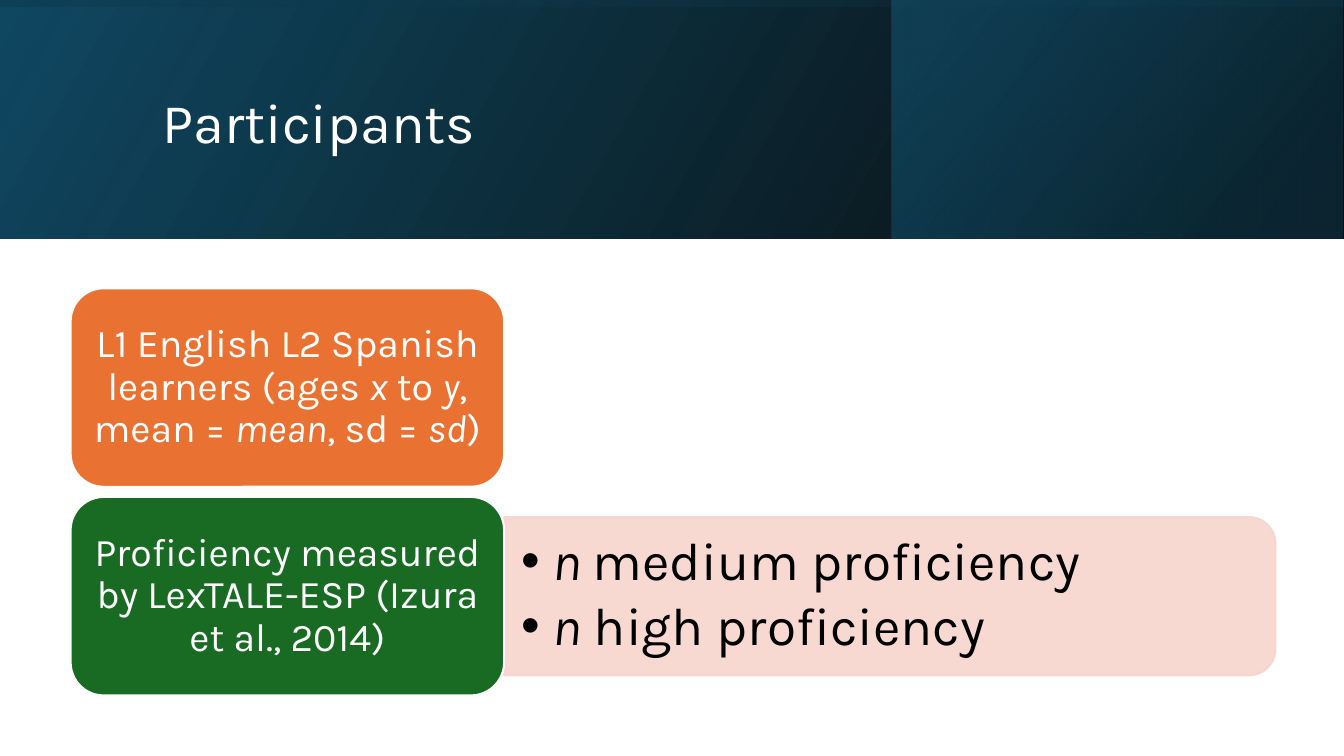
"""Build the Participants slide: a gradient header, two cards and a bullet list."""
from dataclasses import dataclass
from typing import NamedTuple

from lxml import etree
from pptx import Presentation
from pptx.dml.color import RGBColor
from pptx.enum.shapes import MSO_SHAPE
from pptx.enum.text import MSO_ANCHOR, MSO_AUTO_SIZE, PP_ALIGN
from pptx.oxml.ns import qn
from pptx.util import Inches, Pt

RECTANGLE = MSO_SHAPE.RECTANGLE
ROUNDED = MSO_SHAPE.ROUNDED_RECTANGLE
ROUNDED_END = MSO_SHAPE.ROUND_2_SAME_RECTANGLE
MIDDLE = MSO_ANCHOR.MIDDLE
FIXED_SIZE = MSO_AUTO_SIZE.NONE
LEFT, CENTER = PP_ALIGN.LEFT, PP_ALIGN.CENTER

SLIDE_WIDTH, SLIDE_HEIGHT = Inches(13.33), Inches(7.5)
FONT = "Karla"
COLORS = {
    "black": "000000",
    "white": "FFFFFF",
    "navy": "104862",
    "deep": "0B3041",
    "teal": "156082",
    "orange": "E97132",
    "green": "196B24",
    "pink": "F7D5CE",
}


class Area(NamedTuple):
    """Percentages of the slide's width and height."""
    left: float
    top: float
    width: float
    height: float


class Stop(NamedTuple):
    """One gradient stop, with position and opacity in percent."""
    position: int
    color: str
    opacity: int


class Span(NamedTuple):
    """A piece of text in one style."""
    text: str
    italic: bool = False


@dataclass(frozen=True)
class Band:
    """A gradient layer of the header."""
    area: Area
    angle: int
    stops: tuple[Stop, Stop]
    rotation: int = 0


@dataclass(frozen=True)
class Card:
    """A coloured card with centred text."""
    color: str
    spans: tuple[Span, ...]


@dataclass(frozen=True)
class TextStyle:
    """Format of a block of text."""
    size: int
    color: str
    alignment: PP_ALIGN
    margins: tuple[float, float]
    space_after: float = 0


HEADER = Area(0, 0, 100, 31.6)
BANDS = (
    Band(HEADER, 30, (Stop(0, "black", 96), Stop(100, "navy", 100))),
    Band(Area(66.32, 0, 33.6, 31.6), 40, (Stop(19, "deep", 68), Stop(100, "teal", 48))),
    Band(HEADER, 10, (Stop(23, "navy", 16), Stop(99, "black", 45)), 270),
)
CARD_AREA = Area(5.25, 38.13, 32.26, 26.27)
CARD_PITCH = 27.6
CARDS = (
    Card("orange", (
        Span("L1 English L2 Spanish learners (ages "), Span("x", True), Span(" to "),
        Span("y", True), Span(", mean = "), Span("mean", True), Span(", sd = "),
        Span("sd", True), Span(")"),
    )),
    Card("green", (Span("Proficiency measured by LexTALE-ESP (Izura et al., 2014)"),)),
)
TITLE_AREA = Area(11.33, 5.07, 79.74, 22.93)
PANEL_AREA = Area(37.5, 68.4, 57.4, 20.93)
LIST_AREA = Area(37.58, 69.33, 56.79, 18.93)
LEVELS = (
    (Span("n ", True), Span("medium proficiency")),
    (Span("n", True), Span(" high proficiency")),
)
TITLE_STYLE = TextStyle(40, "white", LEFT, (0.1, 0.05))
CARD_STYLE = TextStyle(28, "white", CENTER, (0.12, 0.06))
LIST_STYLE = TextStyle(38, "black", LEFT, (0.16, 0.08), 5.7)


def rgb(name: str) -> RGBColor:
    """Look up a named colour."""
    return RGBColor.from_string(COLORS[name])


def apply(target, **values) -> None:
    """Set attributes from format values."""
    for name, value in values.items():
        setattr(target, name, value)


def place(box, area: Area, rotation: int = 0) -> None:
    """Place a box so that it covers an area once it is turned."""
    left, width = (int(SLIDE_WIDTH * share / 100) for share in (area.left, area.width))
    top, height = (int(SLIDE_HEIGHT * share / 100) for share in (area.top, area.height))
    if rotation % 180:
        shift = (width - height) // 2
        left, top, width, height = left + shift, top - shift, height, width
    apply(box, left=left, top=top, width=width, height=height)
    if rotation:
        box.rotation = rotation


def add_box(page, kind: MSO_SHAPE, area: Area, rotation: int = 0):
    """Add a shape without a shadow."""
    box = page.shapes.add_shape(kind, 0, 0, 0, 0)
    place(box, area, rotation)
    box.shadow.inherit = False
    return box


def set_opacity(box, opacities: tuple[int, ...]) -> None:
    """Give each colour of a shape its opacity in percent."""
    colors = list(box.element.spPr.iter(qn("a:srgbClr")))
    for color, opacity in zip(colors, opacities):
        etree.SubElement(color, qn("a:alpha"), val=str(opacity * 1000))


def paint(box, fill: str, line: str) -> None:
    """Give a shape a solid fill and outline."""
    box.fill.solid()
    box.fill.fore_color.rgb = rgb(fill)
    box.line.color.rgb = rgb(line)
    box.line.width = Pt(1.5)


def write(box, paragraphs: tuple[tuple[Span, ...], ...], style: TextStyle) -> None:
    """Write styled paragraphs into a box."""
    frame = box.text_frame
    side, edge = (Inches(margin) for margin in style.margins)
    apply(frame, word_wrap=True, auto_size=FIXED_SIZE, vertical_anchor=MIDDLE,
          margin_left=side, margin_right=side, margin_top=edge, margin_bottom=edge)
    for index, spans in enumerate(paragraphs):
        para = frame.add_paragraph() if index else frame.paragraphs[0]
        apply(para, alignment=style.alignment, line_spacing=0.9,
              space_before=Pt(0), space_after=Pt(style.space_after))
        for span in spans:
            run = para.add_run()
            run.text = span.text
            apply(run.font, name=FONT, size=Pt(style.size), italic=span.italic)
            run.font.color.rgb = rgb(style.color)


def add_band(page, band: Band) -> None:
    """Add one mirrored gradient layer."""
    box = add_box(page, RECTANGLE, band.area, band.rotation)
    box.element.spPr.find(qn("a:xfrm")).set("flipH", "1")
    box.line.fill.background()
    box.fill.gradient()
    box.fill.gradient_angle = band.angle
    for target, stop in zip(box.fill.gradient_stops, band.stops):
        target.position = stop.position / 100
        target.color.rgb = rgb(stop.color)
    set_opacity(box, tuple(stop.opacity for stop in band.stops))


def fill_placeholder(box, area: Area, paragraphs, style: TextStyle) -> None:
    """Bring a placeholder to the front, place it and write its text."""
    box.element.getparent().append(box.element)
    place(box, area)
    write(box, paragraphs, style)


def main() -> None:
    """Build and save the deck."""
    deck = Presentation()
    apply(deck, slide_width=SLIDE_WIDTH, slide_height=SLIDE_HEIGHT)
    page = deck.slides.add_slide(deck.slide_layouts[1])
    title, body = page.placeholders
    for band in BANDS:
        add_band(page, band)
    fill_placeholder(title, TITLE_AREA, ((Span("Participants"),),), TITLE_STYLE)

    panel = add_box(page, ROUNDED_END, PANEL_AREA, 90)
    paint(panel, "pink", "pink")
    set_opacity(panel, (90, 90))
    fill_placeholder(body, LIST_AREA, LEVELS, LIST_STYLE)
    for para in body.text_frame.paragraphs:
        for name, indent in {"marL": 0.31, "indent": -0.31}.items():
            para._p.get_or_add_pPr().set(name, str(Inches(indent)))

    for row, card in enumerate(CARDS):
        area = CARD_AREA._replace(top=CARD_AREA.top + row * CARD_PITCH)
        box = add_box(page, ROUNDED, area)
        paint(box, card.color, "white")
        write(box, (card.spans,), CARD_STYLE)
    deck.save("out.pptx")


if __name__ == "__main__":
    main()
